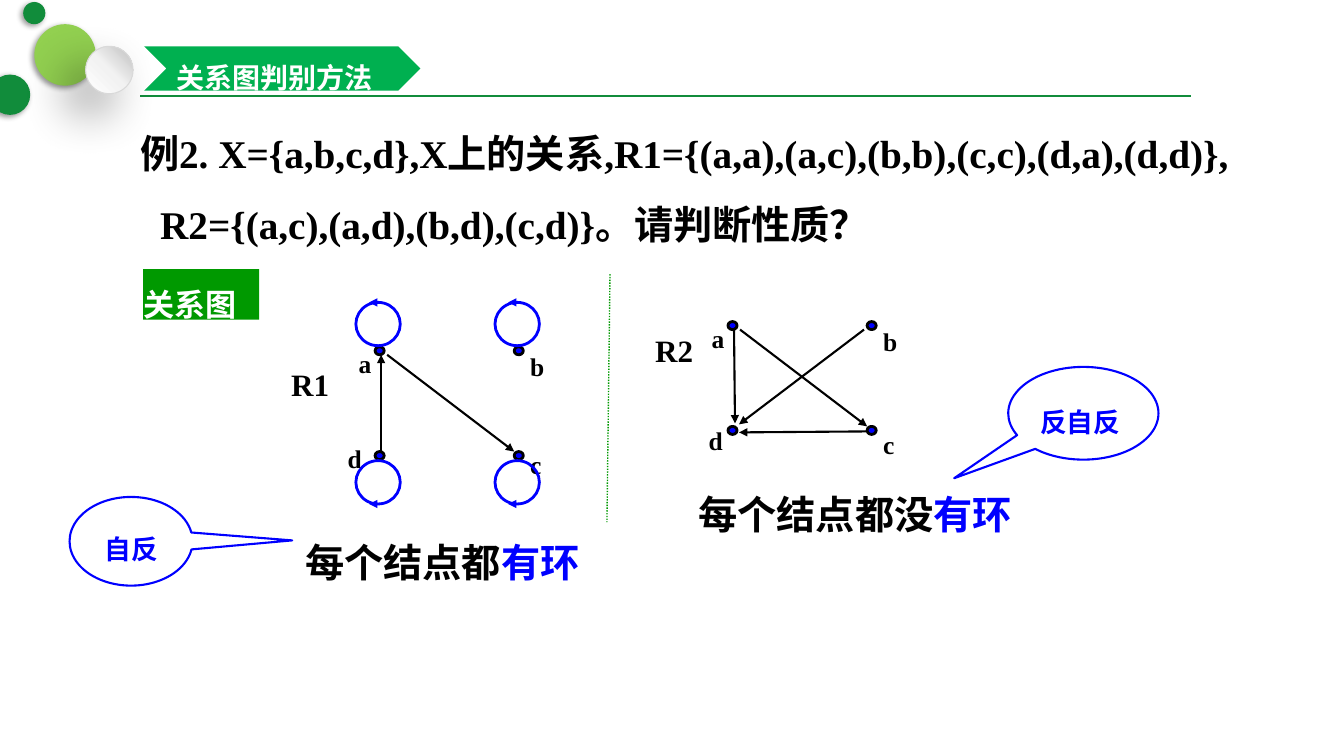
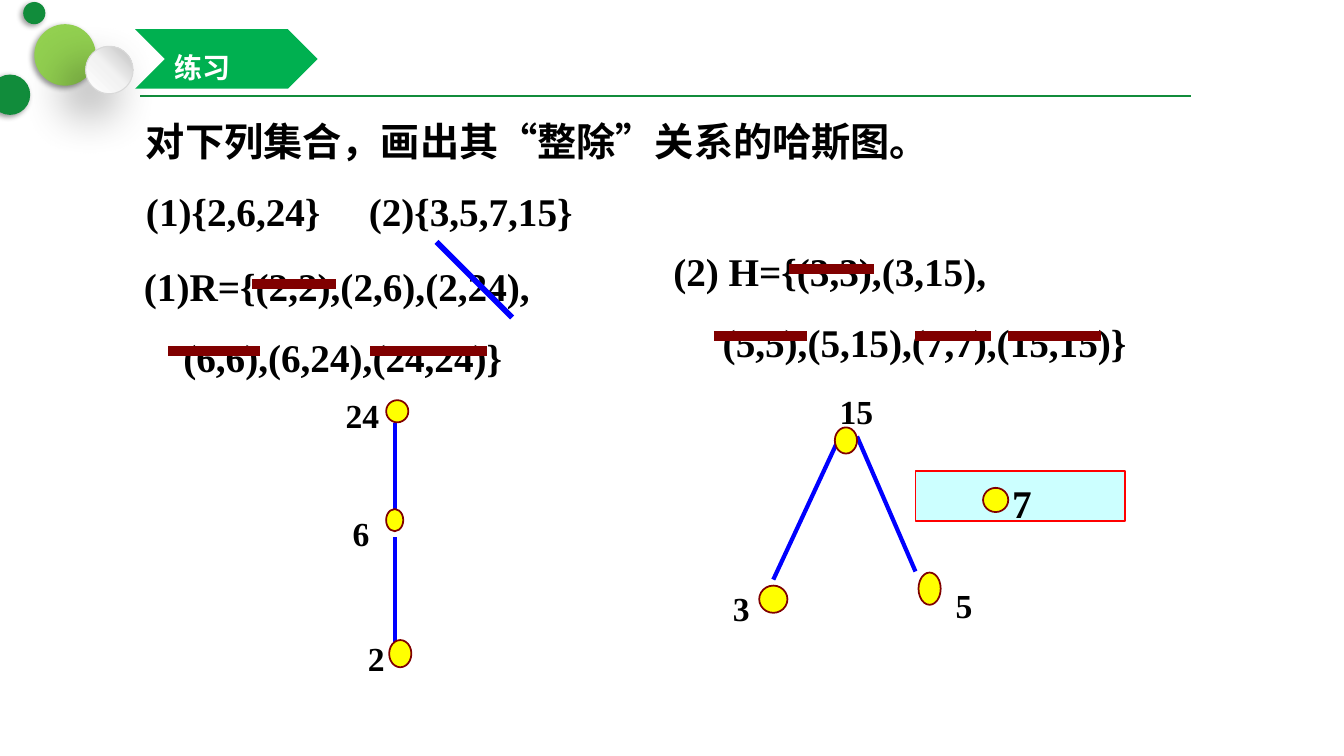
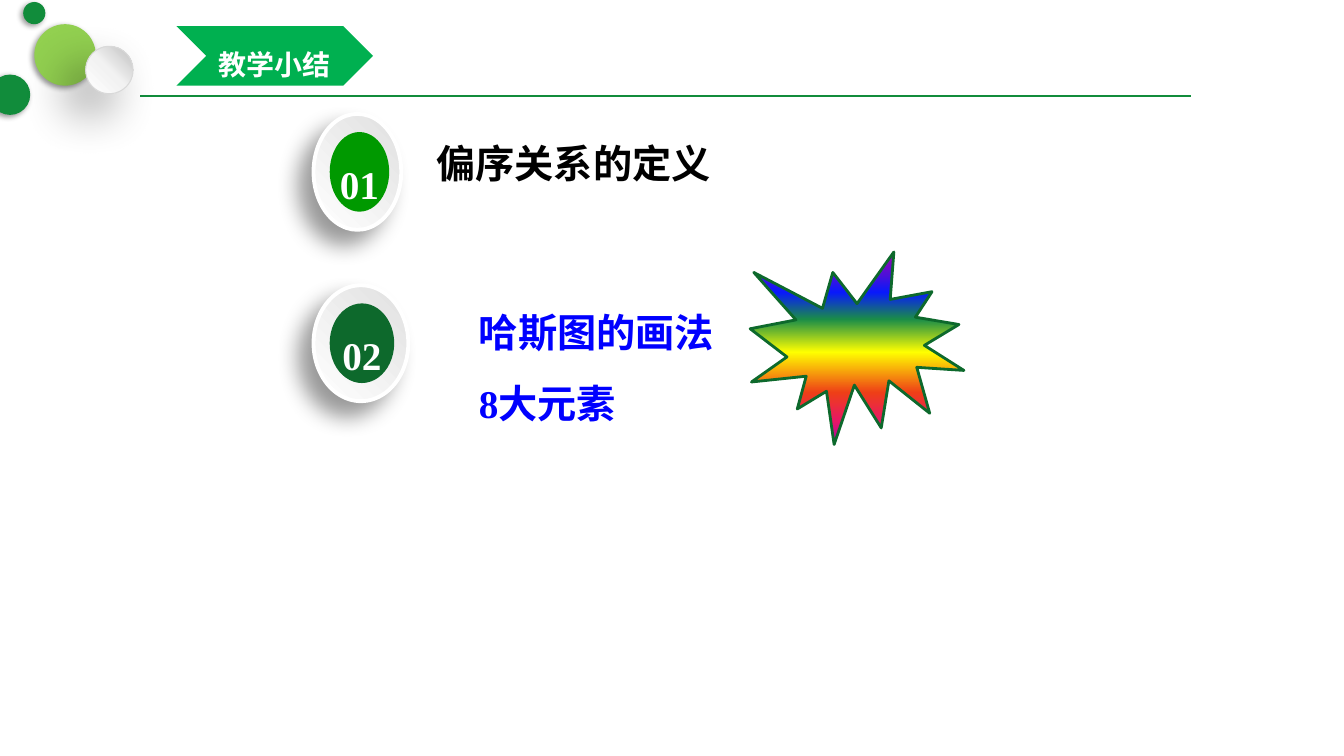
from dataclasses import dataclass

from lxml.etree import SubElement
from pptx import Presentation
from pptx.dml.color import RGBColor
from pptx.enum.dml import MSO_LINE
from pptx.enum.shapes import MSO_CONNECTOR, MSO_SHAPE
from pptx.enum.text import MSO_ANCHOR, MSO_AUTO_SIZE, PP_ALIGN
from pptx.oxml.ns import qn
from pptx.util import Inches, Pt


@dataclass(frozen=True)
class Theme:
    black: str = "000000"
    white: str = "FFFFFF"
    blue: str = "0000FF"
    band: str = "00B050"
    leaf: str = "92D050"
    forest: str = "118C3B"
    green: str = "009900"
    pine: str = "0D692C"
    maroon: str = "800000"
    yellow: str = "FFFF00"
    aqua: str = "CCFFFF"
    red: str = "FF0000"
    gray: str = "D9D9D9"
    serif: str = "Times New Roman"
    sans: str = "Noto Sans CJK SC"
    body: float = 28
    node: float = 24
    name: float = 22.2
    title: float = 20
    call: float = 19.1
    mark: float = 18.2


T = Theme()
PAD = (0.1, 0.05)
SILVER = ([(0, "FFFFFF"), (50, "F2F2F2"), (100, "BFBFBF")], 315)
PEARL = ([(0, "E0E0E0"), (100, "FFFFFF")], 135)
RAINBOW = ([(0, "A603AB"), (21, "0819FB"), (35, "1A8D48"), (52, "FFFF00"),
            (73, "EE3F17"), (88, "E81766"), (100, "A603AB")], 90)

# Master ornaments: box, fill, line, shadow blur and distance
BUBBLES = [
    ((0.34, 0.24, 0.61, 0.61), T.leaf, None, (4, 2)),
    ((-0.1, 0.74, 0.4, 0.4), T.forest, None, (4, 2)),
    ((0.85, 0.46, 0.47, 0.47), SILVER, (T.gray, 0.75), (35, 20)),
    ((0.23, 0.02, 0.22, 0.22), T.forest, None, (4, 2)),
]

# Relation graphs: places are relative to the corner of node a
STEP = (1.38, 1.04)
DOT = (0.09, 0.08)
CORNERS = {"a": (0, 0), "b": (1, 0), "d": (0, 1), "c": (1, 1)}
GRAPHS = [
    dict(name="R1", at=(3.72, 3.44), tag=(2.79, 3.39, 0.58, 0.6), loops=True,
         marks={"a": (-0.26, -0.19), "b": (0.06, -0.16),
                "d": (-0.37, -0.29), "c": (0.06, -0.23)},
         edges=[(0.12, 0.08, 1.38, 1.04), (0.06, 1.04, 0.06, 0.08)]),
    dict(name="R2", at=(7.22, 3.19), tag=(6.4, 3.05, 0.58, 0.6), loops=False,
         marks={"a": (-0.26, -0.19), "b": (0.06, -0.16),
                "d": (-0.29, -0.21), "c": (0.06, -0.17)},
         edges=[(0.06, 0.06, 0.07, 1.01), (1.35, 0.08, 0.11, 1.02),
                (1.37, 1.09, 0.11, 1.1), (0.12, 0.08, 1.38, 1.04)]),
]
VERDICTS = [((2.93, 5.06, 2.95, 0.72), "每个结点都"),
            ((6.83, 4.58, 3.34, 0.72), "每个结点都没")]
CALLS = [((0.69, 4.93, 1.22, 0.88), (1.31, -0.01), "自反", PP_ALIGN.CENTER),
         ((10, 3.64, 1.49, 0.92), (-0.86, 0.7), "反自反", PP_ALIGN.LEFT)]

# Hasse diagrams: lines, labels with their left and top, vertices
STRIKES = [(2.82, 2.5, 3.33), (3.48, 1.67, 2.58), (3.48, 3.67, 4.83),
           (2.67, 7.83, 8.67), (3.33, 7.08, 8), (3.33, 9.08, 9.83),
           (3.33, 10, 10.92)]
HASSE = [
    dict(width=2.75,
         lines=[(3.92, 5.33, 3.92, 6.41), (3.92, 4.2, 3.92, 5.2)],
         labels=[("24", 3.33, 3.67), ("6", 3.4, 4.84), ("2", 3.55, 6.08)],
         dots=[(3.83, 3.97, 0.22, 0.22), (3.83, 5.05, 0.17, 0.22),
               (3.86, 6.35, 0.22, 0.27)]),
    dict(width=3,
         lines=[(8.33, 4.33, 7.67, 5.75), (8.5, 4.33, 9.08, 5.67)],
         labels=[("15", 8.23, 3.63), ("3", 7.17, 5.58), ("5", 9.38, 5.55)],
         dots=[(8.28, 4.24, 0.22, 0.26), (7.53, 5.81, 0.28, 0.27),
               (9.11, 5.68, 0.22, 0.32), (9.75, 4.84, 0.25, 0.24)]),
]

# Summary: number, top, ring width, core width, core colour
BADGES = [("01", 1.13, 0.87, 0.59, T.green), ("02", 2.83, 0.94, 0.64, T.pine)]


def rgb(code):
    return RGBColor.from_string(code)


def write(frame, paras, size=T.body, color=T.black, font=T.serif, pad=PAD,
          align=None, gap=1.5, tab=None):
    """Fill a frame; a paragraph is (indent, [(text, colour or None), ...])."""
    frame.margin_left = frame.margin_right = Inches(pad[0])
    frame.margin_top = frame.margin_bottom = Inches(pad[1])
    if isinstance(paras, str):
        paras = [(0, [(paras, None)])]
    for num, (indent, runs) in enumerate(paras):
        para = frame.add_paragraph() if num else frame.paragraphs[0]
        para.line_spacing = gap
        para.alignment = align
        props = para._p.get_or_add_pPr()
        if indent:
            props.set("marL", str(Inches(indent)))
            props.set("indent", "0")
        if tab:
            stops = SubElement(props, qn("a:tabLst"))
            SubElement(stops, qn("a:tab"), pos=str(Inches(tab)), algn="l")
        for text, tint in runs:
            run = para.add_run()
            run.text = text
            run.font.size = Pt(size)
            run.font.bold = True
            run.font.color.rgb = rgb(tint or color)
            run.font.name = font
            SubElement(run._r.get_or_add_rPr(), qn("a:ea"), typeface=T.sans)


def add_text(slide, box, paras, wrap=False, grow=True, **style):
    shape = slide.shapes.add_textbox(*map(Inches, box))
    frame = shape.text_frame
    frame.word_wrap = wrap
    if grow:
        frame.auto_size = MSO_AUTO_SIZE.SHAPE_TO_FIT_TEXT
    write(frame, paras, **style)


def paint(shape, fill):
    """Apply no fill, a plain colour, or a (stops, angle) gradient."""
    if fill is None:
        shape.fill.background()
    elif isinstance(fill, str):
        shape.fill.solid()
        shape.fill.fore_color.rgb = rgb(fill)
    else:
        stops, angle = fill
        shape.fill.gradient()
        shape.fill.gradient_angle = 360 - angle
        group = shape._element.spPr.find(qn("a:gradFill")).find(qn("a:gsLst"))
        for old in list(group):
            group.remove(old)
        for place, code in stops:
            stop = SubElement(group, qn("a:gs"), pos=str(place * 1000))
            SubElement(stop, qn("a:srgbClr"), val=code)


def add_shape(slide, kind, box, fill=None, line=None, shade=None, adj=()):
    shape = slide.shapes.add_shape(kind, *map(Inches, box))
    for num, value in enumerate(adj):
        shape.adjustments[num] = value
    paint(shape, fill)
    if line:
        shape.line.color.rgb = rgb(line[0])
        shape.line.width = Pt(line[1])
    else:
        shape.line.fill.background()
    shape.shadow.inherit = False
    if shade:
        blur, dist = shade
        effects = shape._element.spPr.find(qn("a:effectLst"))
        outer = SubElement(effects, qn("a:outerShdw"), blurRad=str(Pt(blur)),
                           dist=str(Pt(dist)), dir=str(135 * 60000),
                           algn="ctr", rotWithShape="0")
        color = SubElement(outer, qn("a:srgbClr"), val=T.black)
        SubElement(color, qn("a:alpha"), val="40000")
    frame = shape.text_frame
    frame.word_wrap = True
    frame.vertical_anchor = MSO_ANCHOR.MIDDLE
    return shape


def add_line(slide, ends, color, width, arrow=None, dash=None):
    """Draw a line; arrow is headEnd (start) or tailEnd (finish)."""
    line = slide.shapes.add_connector(MSO_CONNECTOR.STRAIGHT,
                                      *map(Inches, ends))
    line.line.color.rgb = rgb(color)
    line.line.width = Pt(width)
    if dash:
        line.line.dash_style = dash
    if arrow:
        SubElement(line.line._get_or_add_ln(), qn("a:" + arrow),
                   type="triangle")
    SubElement(line._element.spPr, qn("a:effectLst"))


def add_slide(deck):
    slide = deck.slides.add_slide(deck.slide_layouts[6])
    add_line(slide, (1.39, 0.95, 11.81, 0.95), T.forest, 1.25)
    for box, fill, line, shade in BUBBLES:
        add_shape(slide, MSO_SHAPE.OVAL, box, fill, line, shade)
    return slide


def add_title(slide, box, text, align=PP_ALIGN.LEFT):
    band = add_shape(slide, MSO_SHAPE.CHEVRON, box, T.band)
    write(band.text_frame, text, T.title, T.white, T.sans, align=align)


def add_graph(slide, graph):
    left, top = graph["at"]
    add_text(slide, graph["tag"], graph["name"], size=T.name)
    for x1, y1, x2, y2 in graph["edges"]:
        add_line(slide, (left + x1, top + y1, left + x2, top + y2),
                 T.black, 1.5, "tailEnd")
    for mark, (col, row) in CORNERS.items():
        x, y = left + col * STEP[0], top + row * STEP[1]
        dx, dy = graph["marks"][mark]
        add_text(slide, (x + dx, y + dy, 0.33, 0.51), mark, size=T.mark)
        add_shape(slide, MSO_SHAPE.FLOWCHART_CONNECTOR, (x, y, *DOT),
                  T.blue, (T.black, 2))
        if graph["loops"]:
            x -= 0.19
            y += 0.09 if row else -0.44
            add_shape(slide, MSO_SHAPE.OVAL, (x, y, 0.44, 0.43),
                      line=(T.blue, 2))
            rim = y + 0.43 * row
            add_line(slide, (x + 0.13, rim, x + 0.23, rim), T.blue, 1.5,
                     "headEnd")


def add_hasse(slide, tree):
    for ends in tree["lines"]:
        add_line(slide, ends, T.blue, tree["width"])
    for text, left, top in tree["labels"]:
        add_text(slide, (left, top, 0.2 + 0.17 * len(text), 0.64), text,
                 size=T.node)
    for box in tree["dots"]:
        add_shape(slide, MSO_SHAPE.OVAL, box, T.yellow, (T.maroon, 1.25))


def graph_slide(deck):
    slide = add_slide(deck)
    add_text(slide, (1.29, 1, 11.35, 1.43), [
        (0, [("例2. X={a,b,c,d},X上的关系,"
              "R1={(a,a),(a,c),(b,b),(c,c),(d,a),(d,d)},", None)]),
        (0.2, [("R2={(a,c),(a,d),(b,d),(c,d)}。请判断性质？", None)]),
    ], wrap=True)
    add_line(slide, (6.05, 2.72, 6.02, 5.18), T.green, 1,
             dash=MSO_LINE.ROUND_DOT)
    label = add_shape(slide, MSO_SHAPE.ROUNDED_RECTANGLE,
                      (1.42, 2.67, 1.15, 0.5), T.green, adj=(0,))
    write(label.text_frame, "关系图", T.name, T.white, T.sans, (0, 0),
          PP_ALIGN.LEFT)
    for box, text in VERDICTS:
        add_text(slide, box, [(0, [(text, None), ("有环", T.blue)])],
                 font=T.sans)
    for graph in GRAPHS:
        add_graph(slide, graph)
    for box, adj, text, align in CALLS:
        call = add_shape(slide, MSO_SHAPE.OVAL_CALLOUT, box,
                         line=(T.blue, 1.5), adj=adj)
        write(call.text_frame, text, T.call, T.blue, T.sans, align=align)
    add_title(slide, (1.43, 0.46, 2.74, 0.44), "关系图判别方法")


def hasse_slide(deck):
    slide = add_slide(deck)
    add_shape(slide, MSO_SHAPE.RECTANGLE, (9.08, 4.67, 2.08, 0.5), T.aqua,
              (T.red, 1.25))
    add_text(slide, (1.35, 0.88, 9.2, 1.43), [
        (0, [("对下列集合，画出其“整除”关系的哈斯图。", None)]),
        (0, [("(1){2,6,24}\t(2){3,5,7,15}", None)]),
    ], wrap=True, tab=2.21)
    add_text(slide, (1.33, 2.32, 4.33, 1.43), [
        (0, [("(1)R={(2,2),(2,6),(2,24),", None)]),
        (0.39, [("(6,6),(6,24),(24,24)}", None)]),
    ], wrap=True)
    add_text(slide, (6.58, 2.17, 4.9, 1.43), [
        (0, [("(2) H={(3,3),(3,15),", None)]),
        (0.49, [("(5,5),(5,15),(7,7),(15,15)}", None)]),
    ], wrap=True)
    for y, start, end in STRIKES:
        add_line(slide, (start, y, end, y), T.maroon, 7.25)
    for tree in HASSE:
        add_hasse(slide, tree)
    add_text(slide, (9.94, 4.47, 0.4, 0.73), "7")
    add_line(slide, (4.33, 2.4, 5.08, 3.15), T.blue, 4)
    add_title(slide, (1.34, 0.29, 1.81, 0.59), "练习")


def summary_slide(deck):
    slide = add_slide(deck)
    add_title(slide, (1.75, 0.26, 1.95, 0.59), "教学小结", PP_ALIGN.CENTER)
    for text, top, ring, core, color in BADGES:
        add_shape(slide, MSO_SHAPE.OVAL, (3.11, top, ring, 1.15), PEARL,
                  (T.white, 2.75), (16, 14))
        disc = add_shape(slide, MSO_SHAPE.OVAL,
                         (3.27, top + 0.18, core, 0.79), color)
        write(disc.text_frame, text, color=T.white, pad=(0, 0),
              align=PP_ALIGN.CENTER)
    add_text(slide, (4.1, 1.29, 3.77, 0.79),
             [(0.1, [("偏序关系的定义", None)])],
             wrap=True, grow=False, pad=(0.13, 0), gap=1.2)
    add_text(slide, (4.33, 2.83, 4.32, 1.91),
             [(0.29, [(text, None)]) for text in ("哈斯图的画法", "8大元素")],
             wrap=True, grow=False, color=T.blue, pad=(0.13, 0))
    add_shape(slide, MSO_SHAPE.EXPLOSION1, (7.44, 2.5, 2.12, 1.91), RAINBOW,
              (T.pine, 2))


def main():
    deck = Presentation()
    deck.slide_width, deck.slide_height = Inches(13.33), Inches(7.5)
    for build in (graph_slide, hasse_slide, summary_slide):
        build(deck)
    deck.save("out.pptx")


if __name__ == "__main__":
    main()
